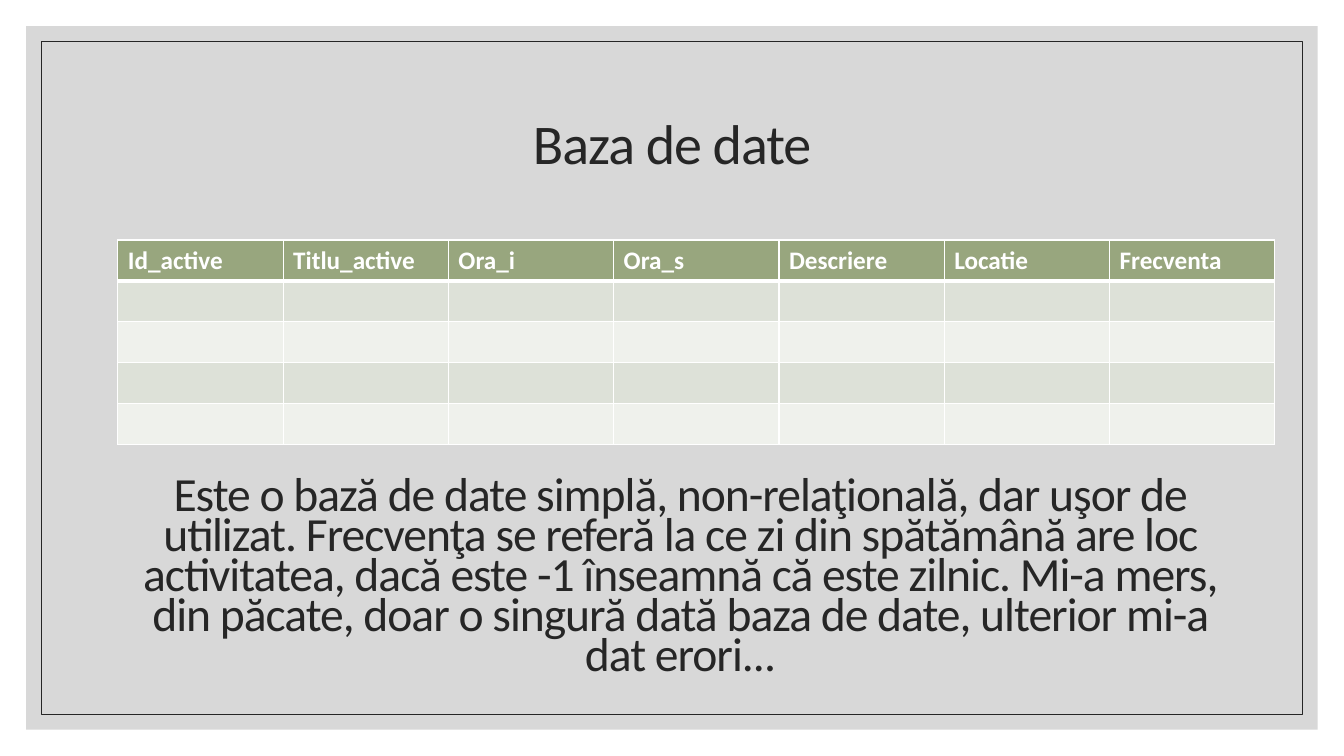
import pptx
import pptx.chart.data
import pptx.dml.color
import pptx.enum.shapes
import pptx.enum.text
import pptx.oxml
import pptx.oxml.ns
import pptx.util

Cm = pptx.util.Cm
Pt = pptx.util.Pt
RGBColor = pptx.dml.color.RGBColor

INK = RGBColor(0x26, 0x26, 0x26)
WHITE = RGBColor(0xFF, 0xFF, 0xFF)
PANEL_GREY = RGBColor(0xBF, 0xBF, 0xBF)
HEADER_GREEN = RGBColor(0x98, 0xA6, 0x7E)
BAND_DARK = RGBColor(0xDD, 0xE1, 0xD8)
BAND_LIGHT = RGBColor(0xEF, 0xF1, 0xEC)

FONT_NAME = "Calibri"
BODY_ROWS = 4
COLUMNS = ["Id_active", "Titlu_active", "Ora_i", "Ora_s", "Descriere", "Locatie", "Frecventa"]
TITLE = "Baza de date"
EXPLANATION = (
    "Este o bază de date simplă, non-relaţională, dar uşor de utilizat. "
    "Frecvenţa se referă la ce zi din spătămână are loc activitatea, "
    "dacă este -1 înseamnă că este zilnic. Mi-a mers, din păcate, "
    "doar o singură dată baza de date, ulterior mi-a dat erori..."
)


def set_attributes(target, values):
    """Set every attribute of the target from a dict of format values."""
    for name, value in values.items():
        setattr(target, name, value)


def write_text(shape, text, size, line_spacing):
    """Write one centred paragraph in the middle of a text shape."""
    frame = shape.text_frame
    set_attributes(frame, {
        "word_wrap": True,
        "auto_size": pptx.enum.text.MSO_AUTO_SIZE.NONE,
        "vertical_anchor": pptx.enum.text.MSO_ANCHOR.MIDDLE,
    })
    paragraph = frame.paragraphs[0]
    set_attributes(paragraph, {
        "alignment": pptx.enum.text.PP_ALIGN.CENTER,
        "line_spacing": line_spacing,
    })
    run = paragraph.add_run()
    run.text = text
    set_attributes(run.font, {"name": FONT_NAME, "size": Pt(size)})
    run.font.color.rgb = INK
    run.font._element.set("spc", "-70")


def add_backdrop(slide, left, top, width, height):
    """Place the translucent panel and the thin frame inside it."""
    rectangle = pptx.enum.shapes.MSO_SHAPE.RECTANGLE
    panel = slide.shapes.add_shape(rectangle, left, top, width, height)
    panel.shadow.inherit = False
    panel.fill.solid()
    panel.fill.fore_color.rgb = PANEL_GREY
    panel.line.fill.background()
    color = panel._element.spPr.find(".//" + pptx.oxml.ns.qn("a:srgbClr"))
    color.append(pptx.oxml.parse_xml(
        f'<a:alpha {pptx.oxml.ns.nsdecls("a")} val="60000"/>'))

    inset = Cm(0.38)
    frame = slide.shapes.add_shape(
        rectangle, left + inset, top + inset, width - 2 * inset, height - 2 * inset)
    frame.shadow.inherit = False
    frame.fill.background()
    frame.line.color.rgb = INK
    frame.line.width = Pt(0.5)


def add_title(slide, left, top, width, height):
    """Place the title placeholder in front of the backdrop."""
    title = slide.shapes.title
    set_attributes(title, {"left": left, "top": top, "width": width, "height": height})
    slide.shapes._spTree.append(title._element)
    write_text(title, TITLE, 40, 0.9)


def format_cell(cell, fill, top_width, bottom_width):
    """Fill a cell and draw its white borders."""
    cell.fill.solid()
    cell.fill.fore_color.rgb = fill
    properties = cell._tc.get_or_add_tcPr()
    widths = {"lnL": 1, "lnR": 1, "lnT": top_width, "lnB": bottom_width}
    for index, (side, width) in enumerate(widths.items()):
        properties.insert(index, pptx.oxml.parse_xml(
            f'<a:{side} {pptx.oxml.ns.nsdecls("a")} w="{Pt(width)}">'
            f'<a:solidFill><a:srgbClr val="{WHITE}"/></a:solidFill></a:{side}>'))


def add_activity_table(slide, left, top, width, height):
    """Place the table with its header and the empty banded rows."""
    table = slide.shapes.add_table(
        BODY_ROWS + 1, len(COLUMNS), left, top, width, height).table
    for row_index, row in enumerate(table.rows):
        if row_index == 0:
            fill = HEADER_GREEN
        else:
            fill = BAND_DARK if row_index % 2 else BAND_LIGHT
        top_width = 3 if row_index == 1 else 1
        bottom_width = 3 if row_index == 0 else 1
        for cell in row.cells:
            format_cell(cell, fill, top_width, bottom_width)
    for column_index, label in enumerate(COLUMNS):
        run = table.cell(0, column_index).text_frame.paragraphs[0].add_run()
        run.text = label
        set_attributes(run.font, {"name": FONT_NAME, "size": Pt(18), "bold": True})
        run.font.color.rgb = WHITE


def add_explanation(slide, left, top, width, height):
    """Place the explanation below the table."""
    write_text(slide.shapes.add_textbox(left, top, width, height), EXPLANATION, 34, 0.7)


def build_database_slide(presentation):
    """Build the slide that presents the database."""
    slide = presentation.slides.add_slide(presentation.slide_layouts.get_by_name("Title Only"))
    margin = Cm(0.66)
    add_backdrop(slide, margin, margin,
                 presentation.slide_width - 2 * margin,
                 presentation.slide_height - 2 * margin)
    add_title(slide, Cm(2.97), Cm(1.78), Cm(27.94), Cm(3.81))
    add_activity_table(slide, Cm(2.97), Cm(6.05), Cm(29.16), Cm(5.15))
    add_explanation(slide, Cm(3.18), Cm(11.66), Cm(27.94), Cm(5.87))


def main():
    """Create and save the presentation."""
    presentation = pptx.Presentation()
    set_attributes(presentation, {"slide_width": Cm(33.87), "slide_height": Cm(19.05)})
    build_database_slide(presentation)
    presentation.save("out.pptx")


if __name__ == "__main__":
    main()
